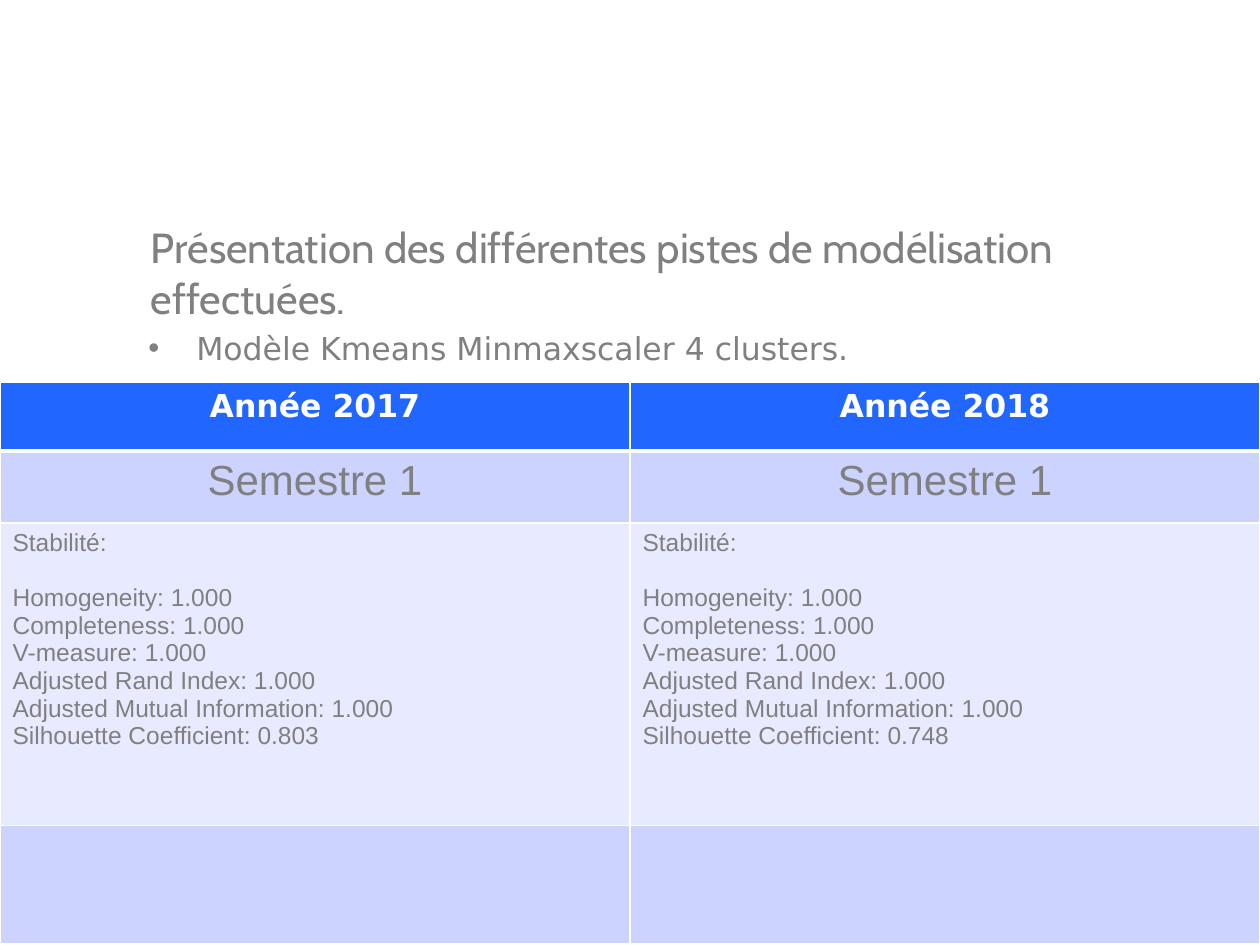
"""Build the slide comparing K-means stability for 2017 and 2018."""
import pptx
import pptx.dml.color
import pptx.enum.text
import pptx.oxml
import pptx.oxml.ns
import pptx.util

TITLE = "Présentation des différentes pistes de modélisation effectuées."
MODEL = "Modèle Kmeans Minmaxscaler 4 clusters."
YEARS = [("Année 2017", "0.803"), ("Année 2018", "0.748")]
SEMESTER = "Semestre 1"
STABILITY = "Stabilité:"
SCORES = ["Homogeneity", "Completeness", "V-measure", "Adjusted Rand Index",
          "Adjusted Mutual Information"]
COLORS = {"header": "2166FF", "band": "CDD3FF", "light": "E8EAFF",
          "text": "808080", "white": "FFFFFF"}
WIDTH, HEIGHT = 10, 7.5
ROW_HEIGHTS = [0.55, 0.57, 2.4, 0.94]
ROW_FILLS = ["header", "band", "light", "band"]
ALIGN = pptx.enum.text.PP_ALIGN
FORMATS = {
    "title": ({"name": "Cabin", "size": 24}, "text", {}),
    "model": ({"name": "DejaVu Sans", "size": 18}, "text",
              {"alignment": ALIGN.JUSTIFY, "line_spacing": 0.8}),
    "year": ({"name": "DejaVu Sans", "size": 18, "bold": True}, "white",
             {"alignment": ALIGN.CENTER}),
    "semester": ({"name": "Arial", "size": 24, "bold": False}, "text",
                 {"alignment": ALIGN.CENTER}),
    "score": ({"name": "Arial", "size": 14, "bold": False}, "text",
              {"alignment": ALIGN.LEFT}),
}


def rgb(name):
    return pptx.dml.color.RGBColor.from_string(COLORS[name])


def write(text_frame, lines, style):
    font_values, color, paragraph_values = FORMATS[style]
    for index, line in enumerate(lines):
        paragraph = text_frame.paragraphs[0] if index == 0 else text_frame.add_paragraph()
        paragraph.text = line
        for name, value in paragraph_values.items():
            setattr(paragraph, name, value)
        font = paragraph.runs[0].font
        for name, value in font_values.items():
            setattr(font, name, pptx.util.Pt(value) if name == "size" else value)
        font.color.rgb = rgb(color)


def add_text(slide, box, text, style, anchor):
    shape = slide.shapes.add_textbox(*map(pptx.util.Inches, box))
    shape.text_frame.word_wrap = True
    shape.text_frame.vertical_anchor = anchor
    write(shape.text_frame, [text], style)
    return shape.text_frame.paragraphs[0]


def add_bullet(paragraph, indent):
    properties = paragraph._p.get_or_add_pPr()
    distance = pptx.util.Inches(indent)
    properties.set("marL", str(distance))
    properties.set("indent", str(-distance))
    properties.append(pptx.oxml.parse_xml(
        f'<a:buFont {pptx.oxml.ns.nsdecls("a")} typeface="Arial"/>'))
    properties.append(pptx.oxml.parse_xml(
        f'<a:buChar {pptx.oxml.ns.nsdecls("a")} char="•"/>'))


def set_borders(cell, widths):
    properties = cell._tc.get_or_add_tcPr()
    for position, (side, width) in enumerate(widths.items()):
        properties.insert(position, pptx.oxml.parse_xml(
            f'<a:ln{side} {pptx.oxml.ns.nsdecls("a")} w="{pptx.util.Pt(width)}">'
            f'<a:solidFill><a:srgbClr val="{COLORS["white"]}"/></a:solidFill>'
            f'</a:ln{side}>'))


def add_comparison(slide):
    height = sum(ROW_HEIGHTS)
    box = (0, 3.03, WIDTH, height)
    table = slide.shapes.add_table(
        len(ROW_HEIGHTS), len(YEARS), *map(pptx.util.Inches, box)).table
    for row, row_height in zip(table.rows, ROW_HEIGHTS):
        row.height = pptx.util.Inches(row_height)
    for column, (year, silhouette) in enumerate(YEARS):
        scores = [f"{score}: 1.000" for score in SCORES]
        contents = [([year], "year"), ([SEMESTER], "semester"),
                    ([STABILITY, *scores, f"Silhouette Coefficient: {silhouette}"], "score"),
                    ([], "score")]
        for row, (lines, style) in enumerate(contents):
            cell = table.cell(row, column)
            cell.fill.solid()
            cell.fill.fore_color.rgb = rgb(ROW_FILLS[row])
            set_borders(cell, {"L": 1, "R": 1, "T": 3 if row == 1 else 1,
                               "B": 3 if row == 0 else 1})
            write(cell.text_frame, lines, style)
            if style == "score" and lines:
                cell.text_frame.paragraphs[0].space_after = pptx.util.Pt(16)


def main():
    presentation = pptx.Presentation()
    presentation.slide_width = pptx.util.Inches(WIDTH)
    presentation.slide_height = pptx.util.Inches(HEIGHT)
    slide = presentation.slides.add_slide(presentation.slide_layouts[6])
    anchors = pptx.enum.text.MSO_ANCHOR
    add_text(slide, (1.1, 1.77, 8, 0.78), TITLE, "title", anchors.MIDDLE)
    model = add_text(slide, (1.08, 2.62, 8, 4.58), MODEL, "model", anchors.TOP)
    add_bullet(model, 0.38)
    add_comparison(slide)
    presentation.save("out.pptx")


if __name__ == "__main__":
    main()
